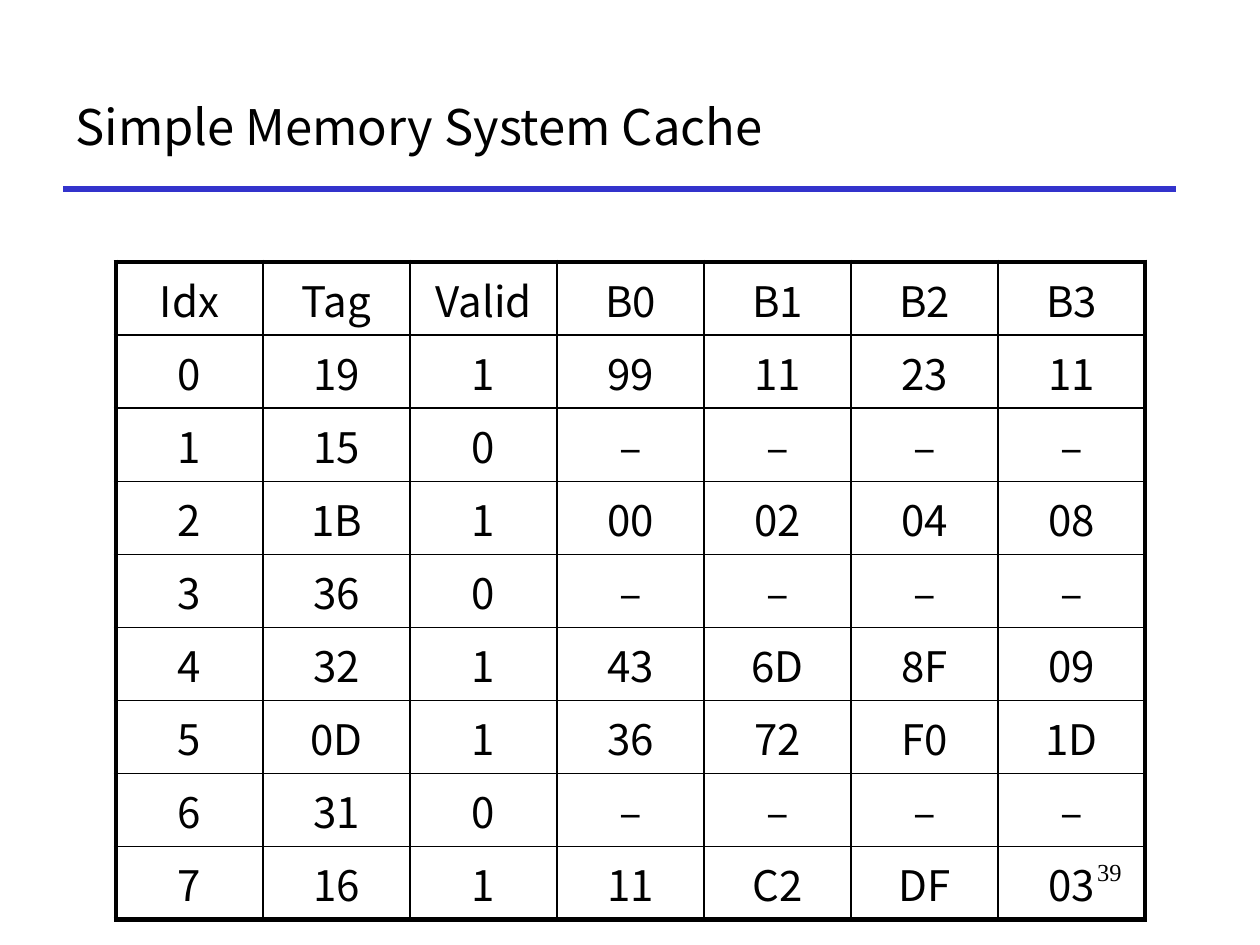
from lxml import etree
from pptx import Presentation
from pptx.dml.color import RGBColor
from pptx.enum.shapes import MSO_CONNECTOR
from pptx.enum.text import MSO_ANCHOR, PP_ALIGN
from pptx.oxml.ns import qn
from pptx.util import Inches, Pt

LEFT, CENTER, RIGHT = PP_ALIGN.LEFT, PP_ALIGN.CENTER, PP_ALIGN.RIGHT
MIDDLE = MSO_ANCHOR.MIDDLE
STRAIGHT = MSO_CONNECTOR.STRAIGHT
BLACK = RGBColor(0x00, 0x00, 0x00)
BLUE = RGBColor(0x33, 0x33, 0xCC)
SANS = "Noto Sans CJK KR"
SERIF = "Times New Roman"

CACHE = [
    ["Idx", "Tag", "Valid", "B0", "B1", "B2", "B3"],
    ["0", "19", "1", "99", "11", "23", "11"],
    ["1", "15", "0", "–", "–", "–", "–"],
    ["2", "1B", "1", "00", "02", "04", "08"],
    ["3", "36", "0", "–", "–", "–", "–"],
    ["4", "32", "1", "43", "6D", "8F", "09"],
    ["5", "0D", "1", "36", "72", "F0", "1D"],
    ["6", "31", "0", "–", "–", "–", "–"],
    ["7", "16", "1", "11", "C2", "DF", "03"],
]
ROW_HEIGHT = Inches(0.58)


def write(text_frame, text, size, font_name, alignment):
    paragraph = text_frame.paragraphs[0]
    paragraph.alignment = alignment
    run = paragraph.add_run()
    run.text = text
    run.font.size = Pt(size)
    run.font.name = font_name
    run.font.color.rgb = BLACK


def set_borders(cell, thick_sides):
    """Draw all four borders, 3 pt on the thick sides and 1 pt elsewhere."""
    properties = cell._tc.get_or_add_tcPr()
    for side in "LRTB":
        width = Pt(3 if side in thick_sides else 1)
        border = etree.SubElement(properties, qn(f"a:ln{side}"), w=str(width))
        fill = etree.SubElement(border, qn("a:solidFill"))
        etree.SubElement(fill, qn("a:srgbClr"), val=str(BLACK))


prs = Presentation()
prs.slide_width = Inches(10)
prs.slide_height = Inches(7.5)
slide = prs.slides.add_slide(prs.slide_layouts[5])

# Title and the rule beneath it
title = slide.shapes.title
title.left, title.top = Inches(0.5), Inches(0.5)
title.width, title.height = Inches(8.83), Inches(1)
title.text_frame.vertical_anchor = MIDDLE
write(title.text_frame, "Simple Memory System Cache", 28, SANS, LEFT)

title_rule = slide.shapes.add_connector(
    STRAIGHT, Inches(0.5), Inches(1.5), Inches(9.33), Inches(1.5))
title_rule.line.color.rgb = BLUE
title_rule.line.width = Pt(3)
etree.SubElement(title_rule._element.spPr, qn("a:effectLst"))

# Slide number
slide_number = slide.shapes.add_textbox(
    Inches(7.58), Inches(6.75), Inches(1.42), Inches(0.5))
slide_number.text_frame.word_wrap = True
write(slide_number.text_frame, "39", 14, SERIF, RIGHT)

# Cache contents
last_row, last_column = len(CACHE) - 1, len(CACHE[0]) - 1
cache_table = slide.shapes.add_table(
    len(CACHE), len(CACHE[0]), Inches(0.92), Inches(2.08),
    Inches(8.17), ROW_HEIGHT * len(CACHE)).table
cache_table.first_row = False
cache_table.horz_banding = False

for row, values in enumerate(CACHE):
    for column, value in enumerate(values):
        cell = cache_table.cell(row, column)
        outer_edges = {"L": column == 0, "R": column == last_column,
                       "T": row == 0, "B": row == last_row}
        set_borders(cell, [side for side, outer in outer_edges.items() if outer])
        cell.fill.background()
        write(cell.text_frame, value, 24, SANS, CENTER)

prs.save("out.pptx")
